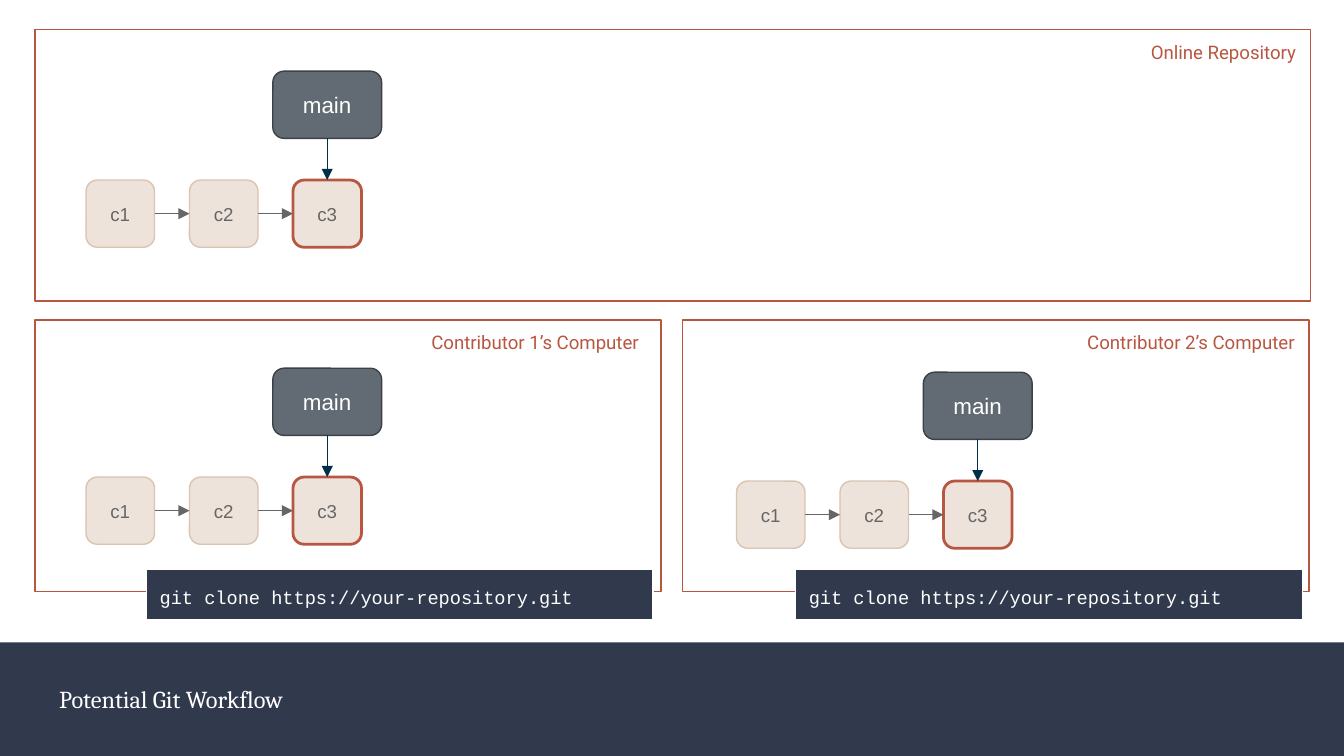
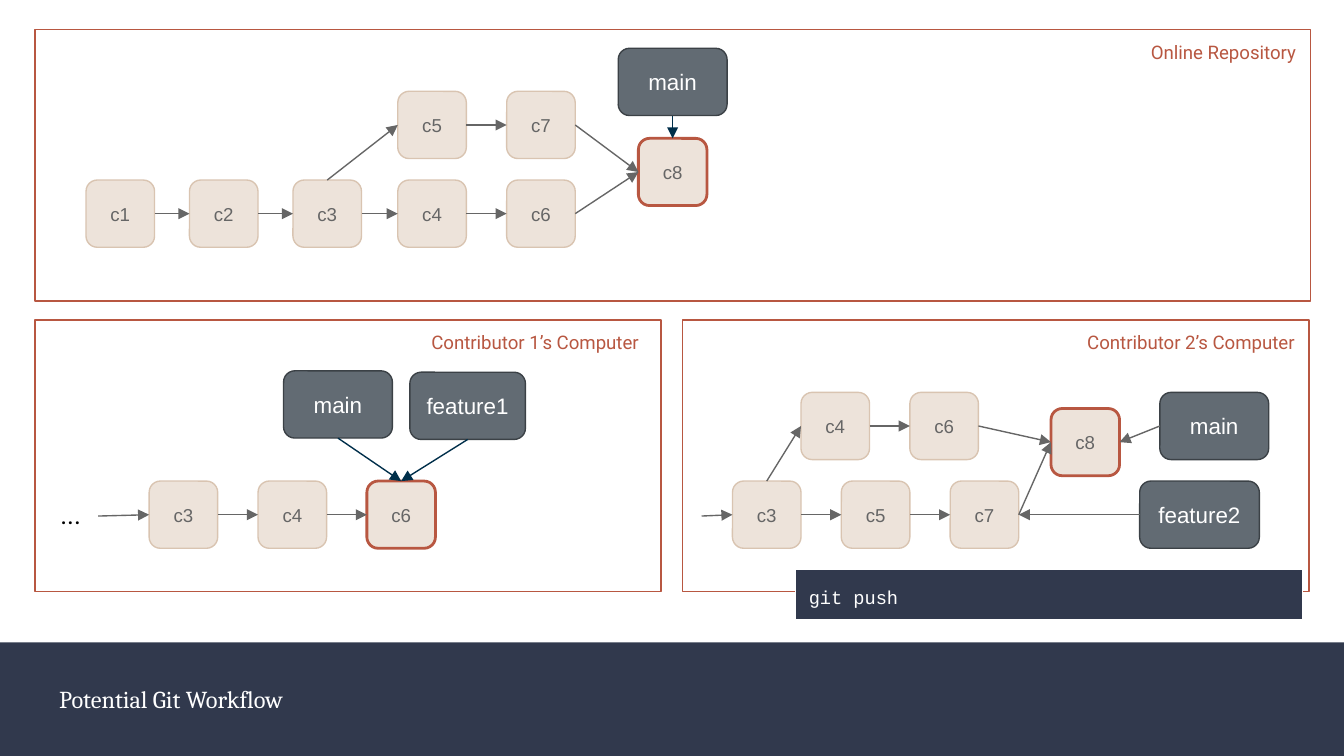
"""Build two slides that follow a Git workflow across three repositories."""
from dataclasses import dataclass

from lxml.etree import SubElement
from pptx import Presentation
from pptx.dml.color import RGBColor
from pptx.enum.shapes import MSO_CONNECTOR as Connector, MSO_SHAPE as Shape
from pptx.enum.text import MSO_ANCHOR as Anchor, MSO_AUTO_SIZE as AutoSize, PP_ALIGN as Align
from pptx.oxml.ns import qn
from pptx.util import Inches, Pt


@dataclass(frozen=True)
class Theme:
    """Colours, fonts, type sizes and line widths."""
    band: str = "31394D"
    white: str = "FFFFFF"
    black: str = "000000"
    accent: str = "B85741"
    commit: str = "EDE3DA"
    commit_edge: str = "D9C4B1"
    ref: str = "626B73"
    ref_edge: str = "3B4146"
    grey: str = "666666"
    navy: str = "002F4A"
    title_font: str = "Cambria"
    label_font: str = "Roboto"
    node_font: str = "Arial"
    code_font: str = "Courier New"
    title_size: float = 13
    ellipsis_size: float = 14
    ref_size: float = 12
    small_size: float = 10
    thin: float = 0.75
    thick: float = 1.5


THEME = Theme()
TOP, LEFT, BOTTOM, RIGHT = range(4)
COMMIT_WIDTH, NODE_HEIGHT, REF_WIDTH = 0.51, 0.5, 0.81
CHAIN, WIDE_CHAIN = 0.77, 0.81
TITLE = "Potential Git Workflow"
CLONE = "git clone https://your-repository.git"

PANELS = {
    "Online Repository": ((0.26, 0.22, 9.49, 2.02), (8.19, 0.22, 1.55, 0.37)),
    "Contributor 1’s Computer": ((0.26, 2.38, 4.66, 2.02), (2.69, 2.38, 2.16, 0.37)),
    "Contributor 2’s Computer": ((5.08, 2.38, 4.66, 2.02), (7.57, 2.38, 2.16, 0.37)),
}
COMMANDS_AT = {"Contributor 1’s Computer": 1.09, "Contributor 2’s Computer": 5.92}


def three_commits(left, top):
    """Describe c1 to c3 with main above the last one."""
    return {
        "chains": [(left, top, CHAIN, ["c1", "c2", "c3"])],
        "head": "c3",
        "refs": [("main", left + 1.39, top - 0.81, REF_WIDTH)],
        "links": [("main", BOTTOM, "c3", TOP)],
    }


WORKFLOW = [
    {
        "Online Repository": three_commits(0.64, 1.34),
        "Contributor 1’s Computer": three_commits(0.64, 3.55) | {"command": CLONE},
        "Contributor 2’s Computer": three_commits(5.48, 3.58) | {"command": CLONE},
    },
    {
        "Online Repository": {
            "chains": [
                (0.64, 1.34, CHAIN, ["c1", "c2", "c3"]),
                (2.96, 1.34, WIDE_CHAIN, ["c4", "c6"]),
                (2.96, 0.68, WIDE_CHAIN, ["c5", "c7"]),
                (4.75, 1.03, WIDE_CHAIN, ["c8"]),
            ],
            "head": "c8",
            "refs": [("main", 4.6, 0.36, REF_WIDTH)],
            "links": [
                ("main", BOTTOM, "c8", TOP),
                ("c3", RIGHT, "c4", LEFT),
                ("c3", TOP, "c5", LEFT),
                ("c7", RIGHT, "c8", LEFT),
                ("c6", RIGHT, "c8", LEFT),
            ],
        },
        "Contributor 1’s Computer": {
            "chains": [(1.11, 3.58, WIDE_CHAIN, ["c3", "c4", "c6"])],
            "head": "c6",
            "refs": [("main", 2.11, 2.76, REF_WIDTH), ("feature1", 3.05, 2.77, 0.86)],
            "links": [("main", BOTTOM, "c6", TOP), ("feature1", BOTTOM, "c6", TOP)],
            "earlier": (0.73, 3.84, "c3"),
            "ellipsis": (0.35, 3.61, 0.38, 0.44),
        },
        "Contributor 2’s Computer": {
            "chains": [
                (5.45, 3.58, WIDE_CHAIN, ["c3", "c5", "c7"]),
                (5.96, 2.92, WIDE_CHAIN, ["c4", "c6"]),
                (7.82, 3.04, WIDE_CHAIN, ["c8"]),
            ],
            "head": "c8",
            "refs": [("main", 8.63, 2.92, REF_WIDTH), ("feature2", 8.48, 3.58, 0.89)],
            "links": [
                ("c3", TOP, "c4", LEFT),
                ("c7", RIGHT, "c8", LEFT),
                ("c6", RIGHT, "c8", LEFT),
                ("main", LEFT, "c8", RIGHT),
                ("feature2", LEFT, "c7", RIGHT),
            ],
            "earlier": (5.22, 3.84, "c3"),
            "command": "git push",
        },
    },
]


def rgb(colour):
    return RGBColor.from_string(colour)


def inches(box):
    return [Inches(length) for length in box]


def write(holder, text, font, size, colour, align=Align.LEFT, anchor=Anchor.TOP, fit=AutoSize.NONE):
    frame = holder.text_frame
    frame.word_wrap, frame.auto_size, frame.vertical_anchor = True, fit, anchor
    frame.margin_left = frame.margin_right = frame.margin_top = frame.margin_bottom = Inches(0.1)
    paragraph = frame.paragraphs[0]
    paragraph.alignment = align
    run = paragraph.add_run()
    run.text = text
    run.font.name, run.font.size = font, Pt(size)
    run.font.color.rgb = rgb(colour)
    return paragraph


def add_box(slide, box, fill=None, edge=None, width=THEME.thin, kind=Shape.RECTANGLE):
    block = slide.shapes.add_shape(kind, *inches(box))
    block.shadow.inherit = False
    if fill:
        block.fill.solid()
        block.fill.fore_color.rgb = rgb(fill)
    else:
        block.fill.background()
    if edge:
        block.line.color.rgb = rgb(edge)
        block.line.width = Pt(width)
    else:
        block.line.fill.background()
    return block


def add_label(slide, box, text, size, colour, align=Align.LEFT):
    label = slide.shapes.add_textbox(*inches(box))
    write(label, text, THEME.label_font, size, colour, align, fit=AutoSize.SHAPE_TO_FIT_TEXT)


def add_node(slide, box, text, fill, edge, width, size, colour):
    node = add_box(slide, box, fill, edge, width, Shape.ROUNDED_RECTANGLE)
    write(node, text, THEME.node_font, size, colour, Align.CENTER, Anchor.MIDDLE)
    return node


def add_arrow(slide, target, target_side, source=None, source_side=None, start=(0, 0)):
    arrow = slide.shapes.add_connector(Connector.STRAIGHT, *inches(start + start))
    if source:
        arrow.begin_connect(source, source_side)
    arrow.end_connect(target, target_side)
    arrow.line.color.rgb = rgb(THEME.navy if source_side == BOTTOM else THEME.grey)
    arrow.line.width = Pt(THEME.thin)
    properties = arrow.element.spPr
    SubElement(properties.find(qn("a:ln")), qn("a:tailEnd"), type="triangle")
    SubElement(properties, qn("a:effectLst"))


def add_history(slide, history):
    nodes = {}
    for left, top, step, commits in history["chains"]:
        for place, commit in enumerate(commits):
            is_head = commit == history["head"]
            nodes[commit] = add_node(
                slide, (left + place * step, top, COMMIT_WIDTH, NODE_HEIGHT), commit, THEME.commit,
                THEME.accent if is_head else THEME.commit_edge,
                THEME.thick if is_head else THEME.thin, THEME.small_size, THEME.grey)
    for ref, left, top, width in history["refs"]:
        nodes[ref] = add_node(slide, (left, top, width, NODE_HEIGHT), ref, THEME.ref,
                              THEME.ref_edge, THEME.thin, THEME.ref_size, THEME.white)
    steps = [(parent, RIGHT, child, LEFT)
             for *_, commits in history["chains"] for parent, child in zip(commits, commits[1:])]
    for source, source_side, target, target_side in steps + history["links"]:
        add_arrow(slide, nodes[target], target_side, nodes[source], source_side)
    if "earlier" in history:
        *start, first = history["earlier"]
        add_arrow(slide, nodes[first], LEFT, start=tuple(start))
    if "ellipsis" in history:
        add_label(slide, history["ellipsis"], "...", THEME.ellipsis_size, THEME.black)


def add_command(slide, left, command):
    prompt = add_box(slide, (left, 4.24, 3.77, 0.37), THEME.band, THEME.white)
    line = write(prompt, command, THEME.code_font, THEME.small_size, THEME.white,
                 fit=AutoSize.SHAPE_TO_FIT_TEXT)
    line.line_spacing = 1.15
    line.space_before = line.space_after = Pt(10)


def add_title(slide):
    title = slide.shapes.title
    title.left, title.top, title.width, title.height = inches((0.34, 4.95, 8.73, 0.5))
    write(title, TITLE, THEME.title_font, THEME.title_size, THEME.white, anchor=Anchor.MIDDLE)


def main():
    deck = Presentation()
    deck.slide_width, deck.slide_height = Inches(10), Inches(10 * 9 / 16)
    layout = deck.slide_layouts[5]
    for number, stage in enumerate(WORKFLOW):
        slide = deck.slides.add_slide(layout)
        if number == 0:
            band = add_box(slide, (0, 4.78, 10, 0.85), THEME.band)
            layout.shapes.element.append(band.element)
        add_title(slide)
        for panel, (frame, label) in PANELS.items():
            history = stage[panel]
            add_box(slide, frame, edge=THEME.accent)
            add_label(slide, label, panel, THEME.small_size, THEME.accent, Align.RIGHT)
            add_history(slide, history)
            if "command" in history:
                add_command(slide, COMMANDS_AT[panel], history["command"])
    deck.save("out.pptx")


if __name__ == "__main__":
    main()
